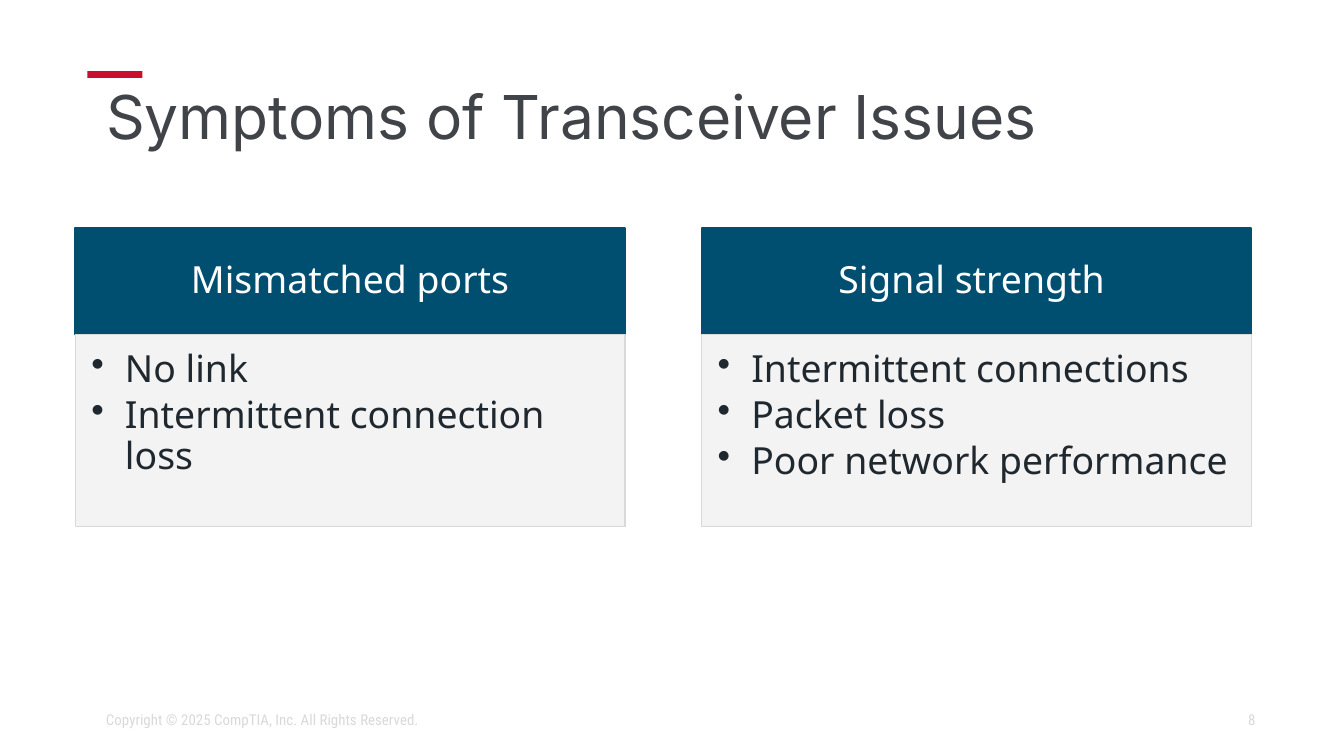
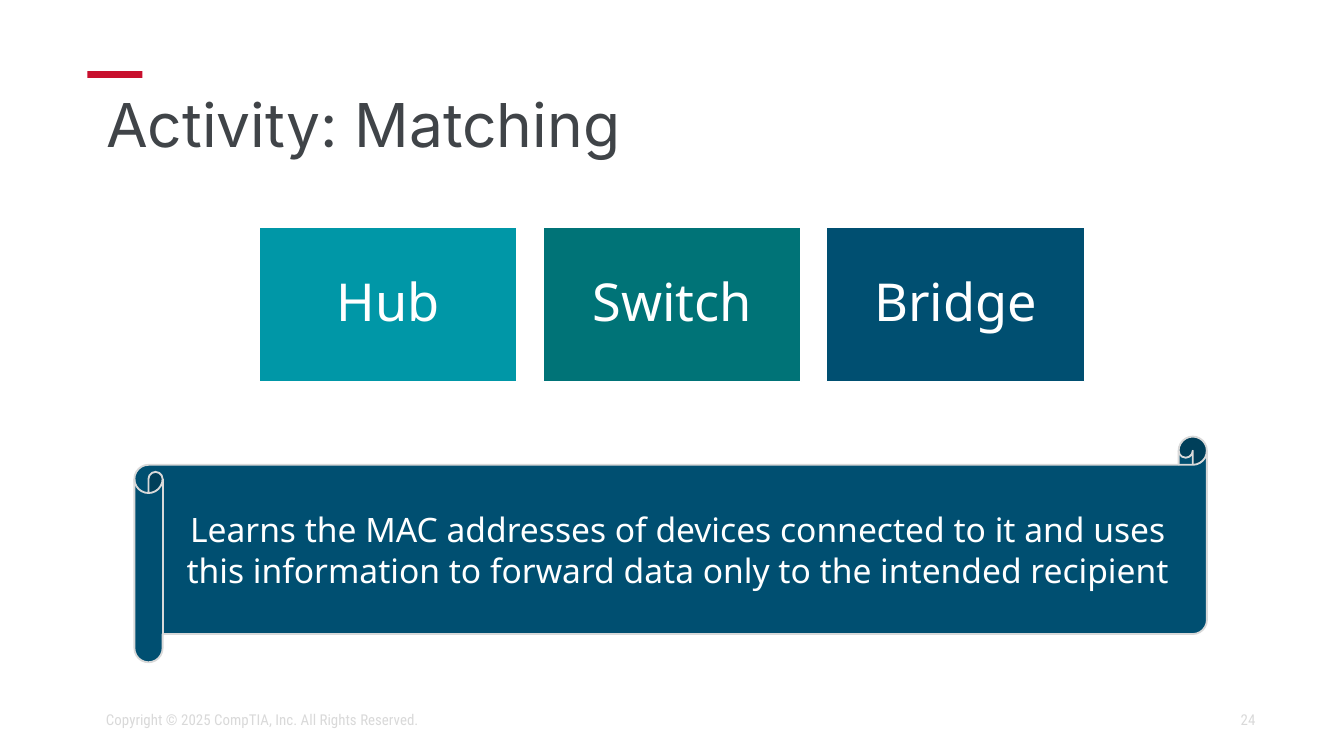
"""Build two network slides: transceiver symptoms and a matching activity."""
from lxml import etree
from pptx import Presentation
from pptx.dml.color import RGBColor
from pptx.enum.shapes import MSO_SHAPE as Shape
from pptx.enum.text import MSO_ANCHOR as Anchor, MSO_AUTO_SIZE as Fit, PP_ALIGN as Align
from pptx.oxml.ns import qn
from pptx.util import Inches, Pt

RED = RGBColor(0xC8, 0x10, 0x2E)
INK = RGBColor(0x40, 0x44, 0x48)
DARK = RGBColor(0x20, 0x28, 0x2F)
NAVY = RGBColor(0x00, 0x4F, 0x71)
EDGE = RGBColor(0x00, 0x4F, 0x70)
CYAN = RGBColor(0x00, 0x97, 0xA7)
TEAL = RGBColor(0x00, 0x73, 0x77)
PALE = RGBColor(0xF2, 0xF2, 0xF2)
GRAY = RGBColor(0xD9, 0xD9, 0xD9)
WHITE = RGBColor(0xFF, 0xFF, 0xFF)
HEAD, BODY, SMALL = "Inter", "Noto Sans", "Roboto Condensed"
NOTICE = "Copyright © 2025 CompTIA, Inc. All Rights Reserved."


def draw(slide, kind, at, fill, line=None, width=1):
    shape = slide.shapes.add_shape(kind, *map(Inches, at))
    shape.shadow.inherit = False
    shape.fill.solid()
    shape.fill.fore_color.rgb = fill
    if line is None:
        shape.line.fill.background()
    else:
        shape.line.color.rgb = line
        shape.line.width = Pt(width)
    return shape


def write(shape, lines, size, font, color, align=Align.LEFT, pads=(0.1, 0.05, 0.1, 0.05),
          anchor=Anchor.MIDDLE, space=1.0, after=0, bullet=False):
    frame = shape.text_frame
    frame.word_wrap = True
    frame.auto_size = Fit.NONE
    frame.vertical_anchor = anchor
    frame.margin_left, frame.margin_top, frame.margin_right, frame.margin_bottom = map(Inches, pads)
    for i, line in enumerate(lines):
        para = frame.add_paragraph() if i else frame.paragraphs[0]
        para.alignment = align
        para.line_spacing = space
        para.space_after = Pt(after)
        if bullet:
            para.level = 1
            props = para._p.get_or_add_pPr()
            props.set("marL", str(Inches(0.25)))
            props.set("indent", str(Inches(-0.25)))
            etree.SubElement(props, qn("a:buChar")).set("char", "•")
        run = para.add_run()
        run.text = line
        run.font.size = Pt(size)
        run.font.name = font
        run.font.color.rgb = color


deck = Presentation()
deck.slide_width, deck.slide_height = Inches(10), Inches(5.62)

pages = []
for name, top, number in [("Symptoms of Transceiver Issues", 0.58, "8"),
                          ("Activity: Matching", 0.64, "24")]:
    page = deck.slides.add_slide(deck.slide_layouts[5])
    draw(page, Shape.RECTANGLE, (0.65, 0.53, 0.41, 0.05), RED)
    title = page.shapes.title
    title.left, title.top, title.width, title.height = map(Inches, (0.69, top, 8.62, 0.63))
    write(title, [name], 32.4, HEAD, INK, space=0.9)
    for text, left, width, align in [(number, 7.06, 2.38, Align.RIGHT),
                                     (NOTICE, 0.69, 4.31, Align.LEFT)]:
        foot = page.shapes.add_textbox(*map(Inches, (left, 5.21, width, 0.3)))
        write(foot, [text], 8, SMALL, GRAY, align)
    pages.append(page)
issues, match = pages

cards = [
    ("Mismatched ports", ["No link", "Intermittent connection loss"]),
    ("Signal strength ", ["Intermittent connections", "Packet loss", "Poor network performance"]),
]
for i, (head, items) in enumerate(cards):
    left = 0.56 + i * 4.66
    band = draw(issues, Shape.RECTANGLE, (left, 1.7, 4.09, 0.79), NAVY, EDGE)
    write(band, [head], 20, BODY, WHITE, Align.CENTER, (0.16, 0.09, 0.16, 0.09),
          space=0.9, after=7)
    panel = draw(issues, Shape.RECTANGLE, (left, 2.49, 4.09, 1.43), PALE, GRAY, 0.75)
    tint = panel.fill._xPr.find(qn("a:solidFill"))[0]
    etree.SubElement(tint, qn("a:alpha")).set("val", "90000")
    write(panel, items, 20, BODY, DARK, pads=(0.12, 0.12, 0.16, 0.17),
          anchor=Anchor.TOP, space=0.9, after=3, bullet=True)

for i, (word, color) in enumerate([("Hub", CYAN), ("Switch", TEAL), ("Bridge", NAVY)]):
    tile = draw(match, Shape.RECTANGLE, (1.93 + i * 2.11, 1.69, 1.92, 1.15), color, WHITE)
    write(tile, [word], 28, BODY, WHITE, Align.CENTER, (0.12,) * 4, space=0.9, after=9.8)

scroll = draw(match, Shape.HORIZONTAL_SCROLL, (1, 3.25, 7.98, 1.68), NAVY, GRAY)
clue = ("Learns the MAC addresses of devices connected to it and uses this information "
        "to forward data only to the intended recipient")
write(scroll, [clue], 18, BODY, WHITE, Align.CENTER)

deck.save("out.pptx")
